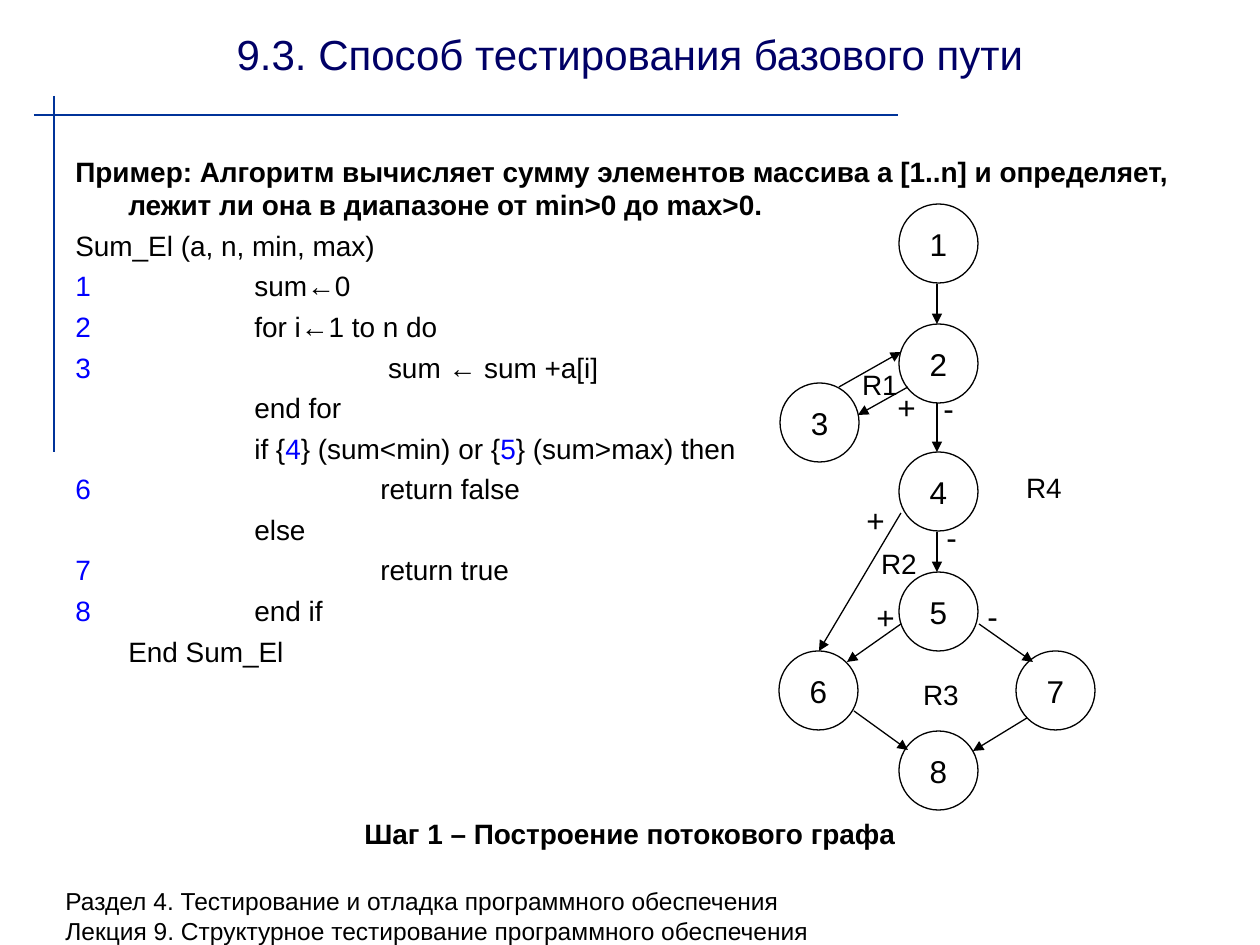
from dataclasses import dataclass

from pptx import Presentation
from pptx.dml.color import RGBColor
from pptx.enum.shapes import MSO_CONNECTOR, MSO_SHAPE
from pptx.enum.text import MSO_ANCHOR, MSO_AUTO_SIZE, PP_ALIGN
from pptx.oxml.ns import qn
from pptx.util import Emu, Pt
from lxml.etree import SubElement


@dataclass(frozen=True)
class Theme:
    font: str = "Arial"
    text: str = "000000"
    title: str = "000066"
    rule: str = "003399"
    number: str = "0000FF"
    title_size: int = 24
    node_size: int = 18
    body_size: int = 16
    footer_size: int = 14


THEME = Theme()
PX = 914400 // 126
TAB = 126  # one inch between tab stops
INDENT = 53

# Content: text is a list of paragraphs; *...* marks a blue statement number
TITLE = ["9.3. Способ тестирования базового пути"]
TASK = ("Пример: Алгоритм вычисляет сумму элементов массива а [1..n] и определяет, "
        "лежит ли она в диапазоне от min>0 до max>0.")
CODE = [
    "Sum_El (а, n, min, max)",
    "*1*\t\tsum←0",
    "*2*\t\tfor i←1 to n do",
    "*3*\t\t\t sum ← sum +a[i]",
    "\t\tend for",
    "\t\tif {*4*} (sum<min) or {*5*} (sum>max) then",
    "*6*\t\t\treturn false",
    "\t\telse",
    "*7*\t\t\treturn true",
    "*8*\t\tend if",
    "\tEnd Sum_El",
]
STEP = ["Шаг 1 – Построение потокового графа"]
FOOTER = ["Раздел 4. Тестирование и отладка программного обеспечения",
          "Лекция 9. Структурное тестирование программного обеспечения"]

# Flow graph: node number -> left, top
NODE = 79
NODES = {1: (899, 204), 2: (899, 324), 4: (899, 452), 3: (780, 383),
         5: (899, 572), 8: (899, 731), 7: (1016, 651), 6: (779, 651)}
# Each edge runs from the first point to the arrowhead
EDGES = [
    (937, 284, 937, 324),   # 1 to 2
    (937, 403, 937, 452),   # 2 to 4
    (839, 387, 901, 352),   # 3 to 2
    (908, 387, 858, 415),   # 2 to 3
    (937, 532, 937, 572),   # 4 to 5
    (901, 513, 819, 651),   # 4 to 6
    (979, 624, 1033, 662),  # 5 to 7
    (901, 624, 847, 662),   # 5 to 6
    (854, 711, 908, 750),   # 6 to 8
    (1027, 718, 973, 751),  # 7 to 8
]
BRANCHES = [("+", 885, 382), ("+", 854, 495), ("+", 864, 592),
            ("-", 975, 591), ("-", 934, 512), ("-", 931, 383)]
BRANCH_WIDTH = {"+": 43, "-": 35}
REGIONS = [("R1", 849, 361), ("R2", 868, 540), ("R3", 910, 671), ("R4", 1013, 464)]
RULES = [(34, 115, 898, 115), (54, 96, 54, 452)]


def box(*lengths):
    return [Emu(n * PX) for n in lengths]


def rgb(color):
    return RGBColor.from_string(color)


def style(p, size, color=THEME.text, bold=False, align=PP_ALIGN.LEFT):
    p.font.name, p.font.size, p.font.bold = THEME.font, Pt(size), bold
    p.font.color.rgb = rgb(color)
    p.alignment = align


def add_text(s, lines, area, size, wrap=True, **look):
    tf = s.shapes.add_textbox(*box(*area)).text_frame
    tf.word_wrap = wrap
    tf.auto_size = MSO_AUTO_SIZE.NONE if wrap else MSO_AUTO_SIZE.SHAPE_TO_FIT_TEXT
    tf.text = "\n".join(lines)
    for p in tf.paragraphs:
        style(p, size, **look)
    return tf


def add_line(s, points, color, width, arrow=False):
    c = s.shapes.add_connector(MSO_CONNECTOR.STRAIGHT, *box(*points))
    c.line.color.rgb, c.line.width = rgb(color), Pt(width)
    if arrow:
        SubElement(c.line._get_or_add_ln(), qn("a:tailEnd"), type="triangle")
    SubElement(c._element.spPr, qn("a:effectLst"))


def add_node(s, number, left, top):
    sp = s.shapes.add_shape(MSO_SHAPE.OVAL, *box(left, top, NODE, NODE))
    sp.shadow.inherit = False
    sp.fill.background()
    sp.line.color.rgb, sp.line.width = rgb(THEME.text), Pt(0.75)
    tf = sp.text_frame
    tf.word_wrap, tf.vertical_anchor = False, MSO_ANCHOR.MIDDLE
    tf.text = str(number)
    style(tf.paragraphs[0], THEME.node_size, align=PP_ALIGN.CENTER)


def add_code(s):
    tf = add_text(s, [TASK], (63, 148, 1134, 689), THEME.body_size, bold=True)
    for line in CODE:
        p = tf.add_paragraph()
        style(p, THEME.body_size)
        for i, part in enumerate(line.split("*")):
            if part:
                r = p.add_run()
                r.text = part
                if i % 2:
                    r.font.color.rgb = rgb(THEME.number)
    # Hanging indent, with tab stops counted from it
    for p in tf.paragraphs:
        p.space_before = Pt(4)
        pPr = p._p.get_or_add_pPr()
        for name, length in (("marL", INDENT), ("indent", -INDENT), ("defTabSz", TAB)):
            pPr.set(name, str(length * PX))


def main():
    prs = Presentation()
    prs.slide_width, prs.slide_height = box(1260, 945)
    s = prs.slides.add_slide(prs.slide_layouts[6])

    # Frame, title and footer
    for points in RULES:
        add_line(s, points, THEME.rule, 1)
    add_text(s, FOOTER, (53, 880, 1166, 65), THEME.footer_size)
    tf = add_text(s, TITLE, (63, 10, 1134, 87), THEME.title_size,
                  color=THEME.title, align=PP_ALIGN.CENTER)
    tf.vertical_anchor = MSO_ANCHOR.MIDDLE

    # Algorithm and step caption
    add_code(s)
    add_text(s, STEP, (351, 810, 558, 47), THEME.body_size, wrap=False,
             bold=True, align=PP_ALIGN.CENTER)

    # Flow graph
    for number, (left, top) in NODES.items():
        add_node(s, number, left, top)
    for points in EDGES:
        add_line(s, points, THEME.text, 0.75, arrow=True)
    for sign, left, top in BRANCHES:
        add_text(s, [sign], (left, top, BRANCH_WIDTH[sign], 50), THEME.node_size,
                 wrap=False, align=PP_ALIGN.CENTER)
    for name, left, top in REGIONS:
        add_text(s, [name], (left, top, 62, 47), THEME.body_size,
                 wrap=False, align=PP_ALIGN.CENTER)

    prs.save("out.pptx")


if __name__ == "__main__":
    main()
